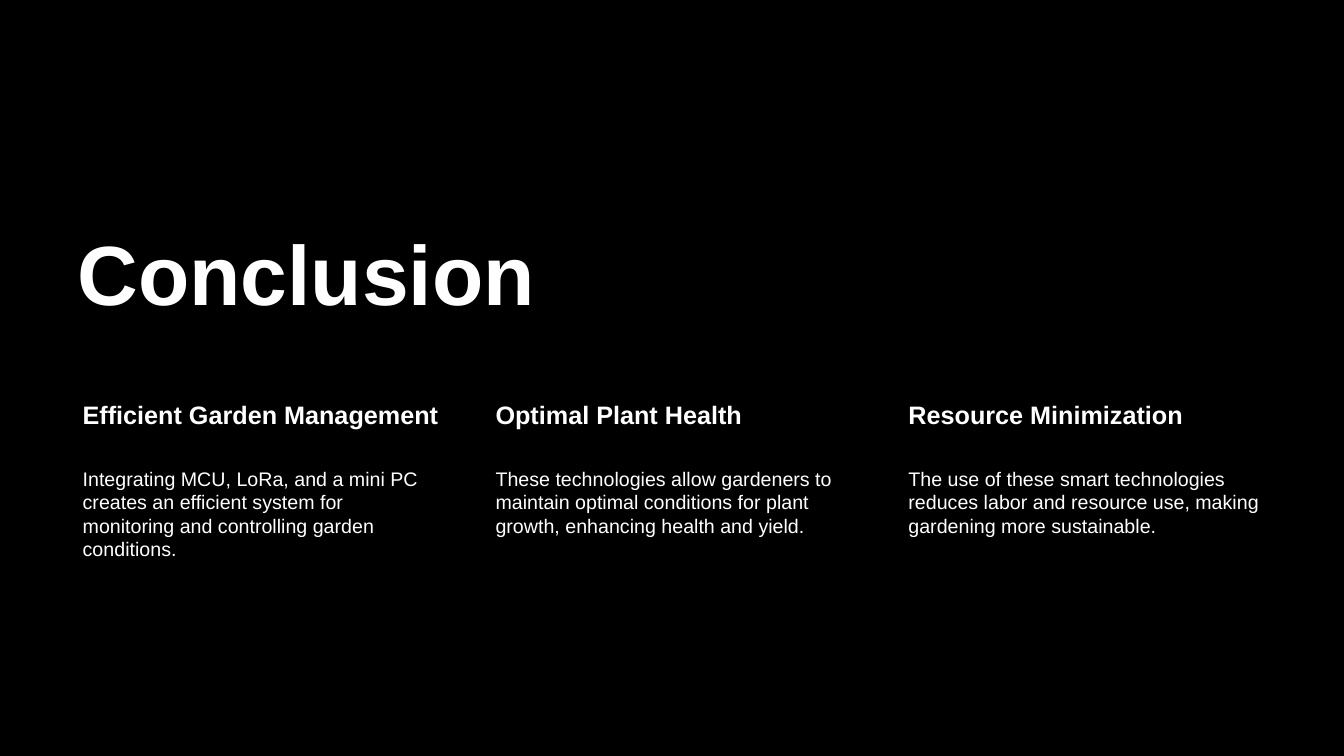
"""Build the Conclusion slide: a large title over three columns of takeaways."""
from pptx import Presentation
from pptx import util as u
from pptx.dml.color import RGBColor
from pptx.enum import text

BLACK = RGBColor(0x00, 0x00, 0x00)
WHITE = RGBColor(0xFF, 0xFF, 0xFF)
FONT = "Arial"

LEFT = 0.67
COLUMN_WIDTH = 3.72
COLUMN_STEP = 4.095
HEADING_TOP, HEADING_HEIGHT = 3.93, 0.68
BODY_TOP, BODY_HEIGHT = HEADING_TOP + HEADING_HEIGHT, 2.06

TAKEAWAYS = [
    ("Efficient Garden Management",
     "Integrating MCU, LoRa, and a mini PC creates an efficient system "
     "for monitoring and controlling garden conditions."),
    ("Optimal Plant Health",
     "These technologies allow gardeners to maintain optimal conditions "
     "for plant growth, enhancing health and yield."),
    ("Resource Minimization",
     "The use of these smart technologies reduces labor and resource use, "
     "making gardening more sustainable."),
]


def write(frame, words, size, bold):
    frame.text = words
    frame.word_wrap = True
    frame.auto_size = text.MSO_AUTO_SIZE.NONE
    paragraph = frame.paragraphs[0]
    paragraph.alignment = text.PP_ALIGN.LEFT
    font = paragraph.runs[0].font
    font.name, font.size, font.bold = FONT, u.Pt(size), bold
    font.color.rgb = WHITE


def add_words(slide, left, top, height, inset, words, size, bold):
    box = slide.shapes.add_textbox(
        u.Inches(left), u.Inches(top), u.Inches(COLUMN_WIDTH), u.Inches(height))
    frame = box.text_frame
    frame.margin_left = u.Inches(0.15)
    frame.margin_top = frame.margin_right = frame.margin_bottom = u.Inches(inset)
    frame.vertical_anchor = text.MSO_ANCHOR.TOP
    write(frame, words, size, bold)


prs = Presentation()
prs.slide_width, prs.slide_height = u.Inches(13.33), u.Inches(7.5)
slide = prs.slides.add_slide(prs.slide_layouts[5])
slide.background.fill.solid()
slide.background.fill.fore_color.rgb = BLACK

title = slide.shapes.title
title.left, title.top = u.Inches(LEFT), u.Inches(2.02)
title.width, title.height = u.Inches(8.03), u.Inches(1.24)
write(title.text_frame, "Conclusion", 60, True)
title.text_frame.vertical_anchor = text.MSO_ANCHOR.BOTTOM
title.text_frame.paragraphs[0].line_spacing = 0.9

for column, (heading, body) in enumerate(TAKEAWAYS):
    left = LEFT + column * COLUMN_STEP
    add_words(slide, left, HEADING_TOP, HEADING_HEIGHT, 0.03, heading, 18, True)
    add_words(slide, left, BODY_TOP, BODY_HEIGHT, 0.02, body, 14, False)

prs.save("out.pptx")
